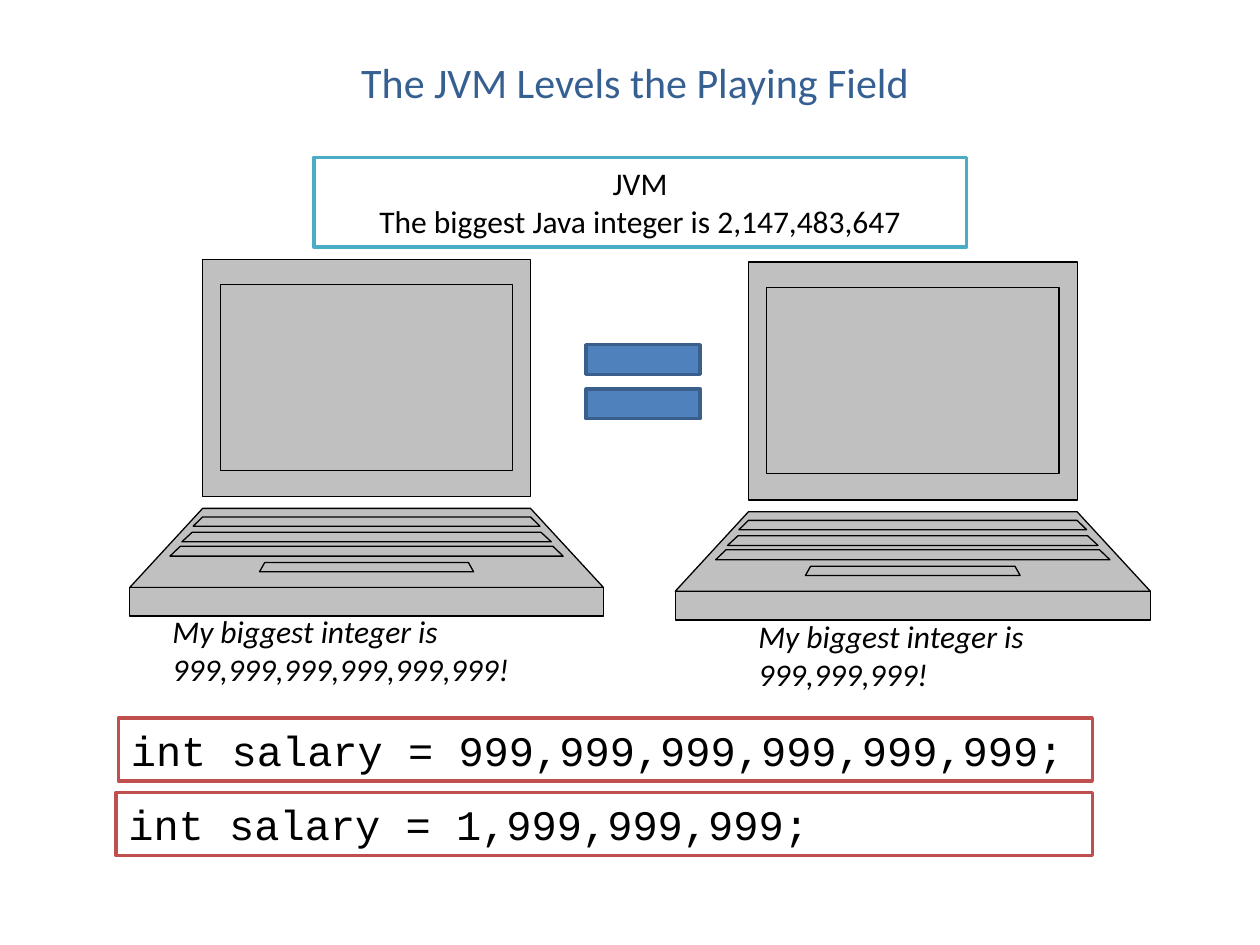
from copy import deepcopy

from pptx import Presentation
from pptx.dml.color import RGBColor
from pptx.enum.shapes import MSO_SHAPE
from pptx.enum.text import MSO_ANCHOR, PP_ALIGN
from pptx.oxml.ns import qn
from pptx.util import Inches, Pt

RECTANGLE = MSO_SHAPE.RECTANGLE
EQUAL = MSO_SHAPE.MATH_EQUAL
LEFT, CENTER = PP_ALIGN.LEFT, PP_ALIGN.CENTER
MIDDLE = MSO_ANCHOR.MIDDLE

SLIDE_WIDTH, SLIDE_HEIGHT = Inches(10), Inches(7.5)
COLUMNS, ROWS = 100, 75

# top, bottom, top inset, bottom inset, as percent of the laptop's box
LAPTOP_PANELS = [
    (0, 66.5, 15.4, 15.4),
    (69.8, 92, 15.4, 0),
    (92, 100, 0, 0),
    (7.1, 59.1, 19.2, 19.2),
    (72.2, 74.8, 15.4, 13.4),
    (85, 87.6, 28.5, 27.4),
    (76.5, 79.2, 13.2, 11),
    (80.4, 83.2, 10.7, 8.5),
]


def color(value):
    return RGBColor.from_string(value)


def grid_box(left, top, width, height):
    column, row = SLIDE_WIDTH / COLUMNS, SLIDE_HEIGHT / ROWS
    return (round(left * column), round(top * row),
            round(width * column), round(height * row))


def paint(shape, fill, line, line_width):
    shape.shadow.inherit = False
    shape.fill.solid()
    shape.fill.fore_color.rgb = color(fill)
    shape.line.color.rgb = color(line)
    shape.line.width = Pt(line_width)


def write(shape, lines, font_name, size, text_color="000000",
          alignment=LEFT, italic=False):
    frame = shape.text_frame
    frame.word_wrap = True
    frame.text = "\n".join(lines)
    for paragraph in frame.paragraphs:
        paragraph.alignment = alignment
        paragraph.font.name = font_name
        paragraph.font.size = Pt(size)
        paragraph.font.italic = italic
        paragraph.font.color.rgb = color(text_color)


def add_title(slide, box, text):
    title = slide.shapes.title
    title.left, title.top, title.width, title.height = box
    write(title, [text], "Calibri", 24, "376092", CENTER)
    title.text_frame.vertical_anchor = MIDDLE


def split_contours(shape):
    outline = next(shape.element.iter(qn("a:path")))
    template = deepcopy(outline)
    for child in list(template):
        template.remove(child)
    for child in list(outline):
        if child.tag == qn("a:moveTo"):
            contour = deepcopy(template)
            outline.getparent().append(contour)
        contour.append(child)
    outline.getparent().remove(outline)


def add_laptop(slide, box):
    left, top, width, height = box
    contours = []
    for upper, lower, upper_inset, lower_inset in LAPTOP_PANELS:
        corners = [(upper_inset, upper), (100 - upper_inset, upper),
                   (100 - lower_inset, lower), (lower_inset, lower)]
        contours.append([(round(left + width * x / 100),
                          round(top + height * y / 100)) for x, y in corners])
    builder = slide.shapes.build_freeform(*contours[0][0])
    for index, contour in enumerate(contours):
        if index:
            builder.move_to(*contour[0])
        builder.add_line_segments(contour[1:], close=True)
    laptop = builder.convert_to_shape()
    split_contours(laptop)
    paint(laptop, "C0C0C0", "000000", 0.75)


def add_caption(slide, box, text):
    caption = slide.shapes.add_textbox(*box)
    write(caption, [text], "Calibri", 18, italic=True)


def add_framed_text(slide, box, lines, line_color, font_name, size, alignment):
    frame = slide.shapes.add_shape(RECTANGLE, *box)
    paint(frame, "FFFFFF", line_color, 2)
    write(frame, lines, font_name, size, alignment=alignment)
    frame.text_frame.vertical_anchor = MIDDLE


def add_equal_sign(slide, box):
    sign = slide.shapes.add_shape(EQUAL, *box)
    paint(sign, "4F81BD", "3A5F8C", 2)


def main():
    presentation = Presentation()
    presentation.slide_width = SLIDE_WIDTH
    presentation.slide_height = SLIDE_HEIGHT
    slide = presentation.slides.add_slide(presentation.slide_layouts[5])

    add_title(slide, grid_box(7.7, 4, 85.4, 5), "The JVM Levels the Playing Field")
    add_laptop(slide, grid_box(10.3, 20.6, 37.6, 28.3))
    add_laptop(slide, grid_box(53.6, 20.8, 37.7, 28.4))
    add_caption(slide, grid_box(12.7, 48.1, 31.4, 7.1),
                "My biggest integer is 999,999,999,999,999,999!")
    add_caption(slide, grid_box(59.2, 48.5, 31.1, 7.1),
                "My biggest integer is 999,999,999!")
    add_framed_text(slide, grid_box(9.4, 57, 77.3, 5),
                    ["int salary = 999,999,999,999,999,999;"],
                    "C0504D", "Courier New", 24, LEFT)
    add_framed_text(slide, grid_box(24.9, 12.5, 51.8, 7.1),
                    ["JVM", "The biggest Java integer is 2,147,483,647"],
                    "4BACC6", "Calibri", 18, CENTER)
    add_framed_text(slide, grid_box(9.2, 62.9, 77.5, 5),
                    ["int salary = 1,999,999,999;"],
                    "C0504D", "Courier New", 24, LEFT)
    add_equal_sign(slide, grid_box(44.9, 25.3, 12.3, 10))

    presentation.save("out.pptx")


if __name__ == "__main__":
    main()
